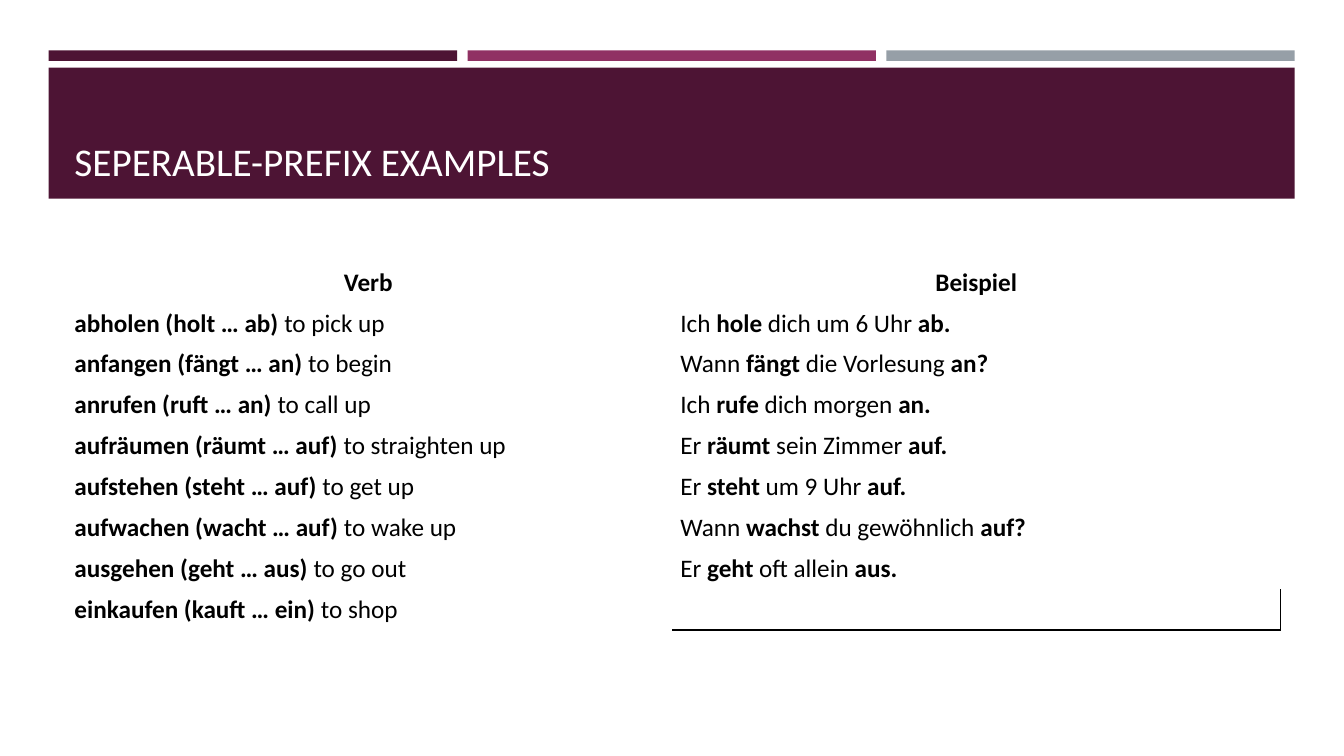
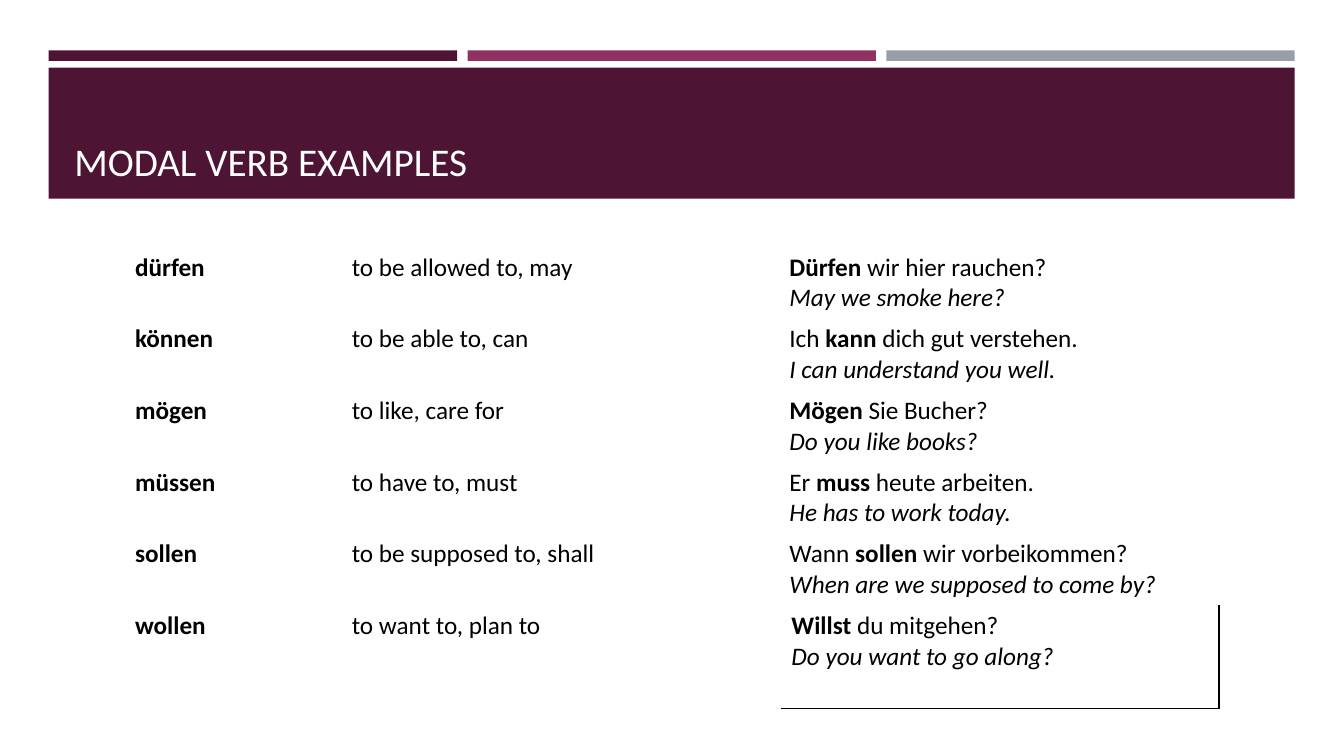
from dataclasses import dataclass

from lxml.etree import SubElement
from pptx import Presentation
from pptx.dml.color import RGBColor
from pptx.enum.shapes import MSO_SHAPE as Preset
from pptx.enum.text import MSO_ANCHOR as Anchor, PP_ALIGN as Align
from pptx.oxml.ns import qn
from pptx.util import Pt


@dataclass(frozen=True)
class Theme:
    font: str = "Calibri"
    title_size: float = 28
    body_size: float = 18
    plum: str = "4D1434"
    berry: str = "903163"
    grey: str = "969FA7"
    white: str = "FFFFFF"
    black: str = "000000"
    rule_width: float = 1
    plain_table: str = "{2D5ABB26-0587-4C30-8999-92F81FD0307C}"


THEME = Theme()
BAND_LEFT, BAND_WIDTH = 34.8, 890
STRIPE_GAP = 7.5
WIDE_INSET, NARROW_INSET = 7.2, 5.75

SEPARABLE_VERBS = [
    ("*abholen (holt … ab)* to pick up", "Ich *hole* dich um 6 Uhr *ab.*"),
    ("*anfangen (fängt … an)* to begin", "Wann *fängt* die Vorlesung *an?*"),
    ("*anrufen (ruft … an)* to call up", "Ich *rufe* dich morgen *an.*"),
    ("*aufräumen (räumt … auf)* to straighten up", "Er *räumt* sein Zimmer *auf.*"),
    ("*aufstehen (steht … auf)* to get up", "Er *steht* um 9 Uhr *auf.*"),
    ("*aufwachen (wacht … auf)* to wake up", "Wann *wachst* du gewöhnlich *auf?*"),
    ("*ausgehen (geht … aus)* to go out", "Er *geht* oft allein *aus.*"),
    ("*einkaufen (kauft … ein)* to shop", ""),
]

MODAL_VERBS = [
    ("dürfen", "to be allowed to, may", "*Dürfen* wir hier rauchen?", "May we smoke here?"),
    ("können", "to be able to, can", "Ich *kann* dich gut verstehen.",
     "I can understand you well."),
    ("mögen", "to like, care for", "*Mögen* Sie Bucher?", "Do you like books?"),
    ("müssen", "to have to, must", "Er *muss* heute arbeiten.", "He has to work today."),
    ("sollen", "to be supposed to, shall", "Wann *sollen* wir vorbeikommen?",
     "When are we supposed to come by?"),
    ("wollen", "to want to, plan to", "*Willst* du mitgehen?", "Do you want to go along?"),
]


def write(para, text, size=THEME.body_size, color=THEME.black, align=Align.LEFT, italic=False):
    """Fill a paragraph; text between asterisks becomes bold."""
    para.alignment = align
    for index, part in enumerate(text.split("*")):
        if part:
            span = para.add_run()
            span.text = part
            span.font.name = THEME.font
            span.font.size = Pt(size)
            span.font.color.rgb = RGBColor.from_string(color)
            span.font.bold = index % 2 == 1
            span.font.italic = italic


def add_bar(page, left, top, width, height, color):
    bar = page.shapes.add_shape(Preset.RECTANGLE, Pt(left), Pt(top), Pt(width), Pt(height))
    bar.shadow.inherit = False
    bar.fill.solid()
    bar.fill.fore_color.rgb = RGBColor.from_string(color)
    bar.line.fill.background()


def add_page(deck, heading):
    """Add a slide with the three stripes, the band and its title."""
    page = deck.slides.add_slide(deck.slide_layouts[5])
    width = (BAND_WIDTH - 2 * STRIPE_GAP) / 3
    for index, color in enumerate((THEME.plum, THEME.berry, THEME.grey)):
        add_bar(page, BAND_LEFT + index * (width + STRIPE_GAP), 36, width, 7.5, color)
    add_bar(page, BAND_LEFT, 48.4, BAND_WIDTH, 93.6, THEME.plum)

    title = page.shapes.title
    title.left, title.top, title.width, title.height = Pt(46), Pt(55.5), Pt(868.5), Pt(80)
    title.text_frame.vertical_anchor = Anchor.BOTTOM
    title.text_frame.word_wrap = True
    write(title.text_frame.paragraphs[0], heading, size=THEME.title_size, color=THEME.white)
    page.shapes._spTree.append(title._element)  # in front of the band
    return page


def add_plain_table(page, left, top, widths, heights):
    """Add an unfilled table ruled only to the right of and below its last cell."""
    frame = page.shapes.add_table(len(heights), len(widths), Pt(left), Pt(top),
                                  Pt(sum(widths)), Pt(sum(heights)))
    table = frame.table
    table.first_row = table.horz_banding = False
    table._tbl.tblPr.find(qn("a:tableStyleId")).text = THEME.plain_table
    for column, width in zip(table.columns, widths):
        column.width = Pt(width)
    for row, height in zip(table.rows, heights):
        row.height = Pt(height)
    for cell in table.iter_cells():
        cell.fill.background()
    add_rules(table.cell(len(heights) - 1, len(widths) - 1), "a:lnR", "a:lnB")
    return table


def add_rules(cell, *sides):
    props = cell._tc.get_or_add_tcPr()
    for index, side in enumerate(sides):
        rule = SubElement(props, qn(side), w=str(Pt(THEME.rule_width)))
        fill = SubElement(rule, qn("a:solidFill"))
        SubElement(fill, qn("a:srgbClr"), val=THEME.black)
        props.insert(index, rule)


def fill_cell(cell, text, translation="", inset=WIDE_INSET, align=Align.LEFT):
    cell.margin_left = Pt(inset)
    write(cell.text_frame.paragraphs[0], text, align=align)
    if translation:
        write(cell.text_frame.add_paragraph(), translation, align=align, italic=True)


def add_separable_verbs(deck):
    page = add_page(deck, "SEPERABLE-PREFIX EXAMPLES")
    heights = [29.2] * (len(SEPARABLE_VERBS) + 1)
    table = add_plain_table(page, 46, 187.2, [434.25] * 2, heights)
    for column, label in enumerate(("*Verb*", "*Beispiel*")):
        fill_cell(table.cell(0, column), label, align=Align.CENTER)
    for row, (verb, example) in enumerate(SEPARABLE_VERBS, start=1):
        fill_cell(table.cell(row, 0), verb)
        fill_cell(table.cell(row, 1), example, inset=NARROW_INSET)


def add_modal_verbs(deck):
    page = add_page(deck, "MODAL VERB EXAMPLES")
    last = len(MODAL_VERBS) - 1
    table = add_plain_table(page, 89.3, 176.4, [156.3, 312.6, 312.6], [51.2] * last + [73.5])
    for row, (verb, meaning, example, translation) in enumerate(MODAL_VERBS):
        fill_cell(table.cell(row, 0), f"*{verb}*")
        fill_cell(table.cell(row, 1), meaning, inset=NARROW_INSET)
        fill_cell(table.cell(row, 2), example, translation,
                  inset=WIDE_INSET if row == last else NARROW_INSET)


def main():
    deck = Presentation()
    deck.slide_width, deck.slide_height = Pt(960), Pt(540)
    add_separable_verbs(deck)
    add_modal_verbs(deck)
    deck.save("out.pptx")


if __name__ == "__main__":
    main()
